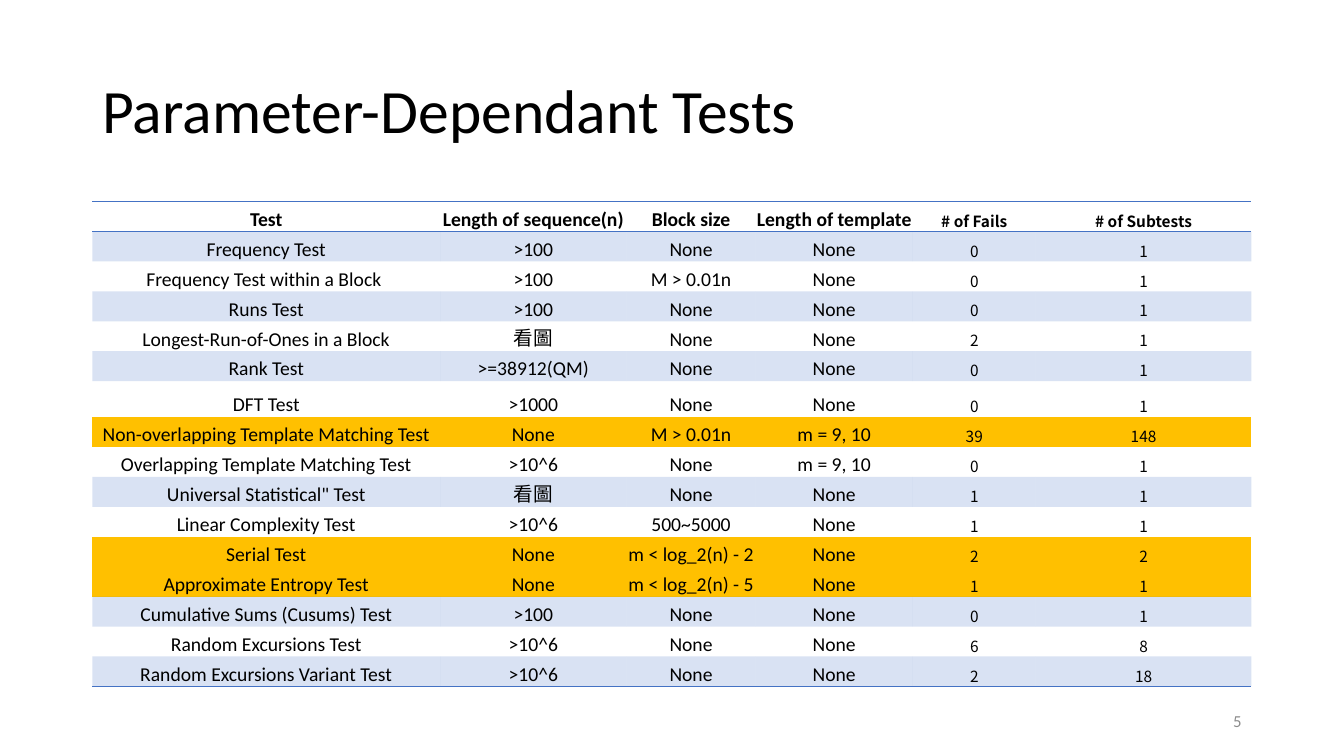
import lxml.etree
import pptx
import pptx.dml.color
import pptx.enum.text
import pptx.oxml.ns
import pptx.util

Pt = pptx.util.Pt
RGBColor = pptx.dml.color.RGBColor
Align = pptx.enum.text.PP_ALIGN
Anchor = pptx.enum.text.MSO_ANCHOR
qn = pptx.oxml.ns.qn

BLACK = RGBColor(0x00, 0x00, 0x00)
GREY = RGBColor(0x8C, 0x8C, 0x8C)
BLUE = RGBColor(0x44, 0x72, 0xC4)
AMBER = RGBColor(0xFF, 0xC0, 0x00)

LATIN_FONT = "Calibri"
CJK_FONT = "Noto Sans CJK TC"
PLAIN_STYLE = "{2D5ABB26-0587-4C30-8999-92F81FD0307C}"

COLUMN_WIDTHS = [248.4, 133.2, 92.2, 112.3, 87.8, 154.1]
ROW_HEIGHT = 21.4
TALL_ROW_HEIGHT = 25.7
TALL_TEST = "DFT Test"
FIRST_COUNT_COLUMN = 4
HIGHLIGHTED_TESTS = {
    "Non-overlapping Template Matching Test",
    "Serial Test",
    "Approximate Entropy Test",
}
TEST_ROWS = [
    ("Test", "Length of sequence(n)", "Block size", "Length of template", "# of Fails", "# of Subtests"),
    ("Frequency Test", ">100", "None", "None", "0", "1"),
    ("Frequency Test within a Block ", ">100", "M > 0.01n", "None", "0", "1"),
    ("Runs Test", ">100", "None", "None", "0", "1"),
    ("Longest-Run-of-Ones in a Block", "看圖", "None", "None", "2", "1"),
    ("Rank Test", ">=38912(QM)", "None", "None", "0", "1"),
    (TALL_TEST, ">1000", "None", "None", "0", "1"),
    ("Non-overlapping Template Matching Test", "None", "M > 0.01n", "m = 9, 10", "39", "148"),
    ("Overlapping Template Matching Test", ">10^6", "None", "m = 9, 10", "0", "1"),
    ("Universal Statistical\" Test", "看圖", "None", "None", "1", "1"),
    ("Linear Complexity Test", ">10^6", "500~5000", "None", "1", "1"),
    ("Serial Test", "None", "m < log_2(n) - 2", "None", "2", "2"),
    ("Approximate Entropy Test", "None", "m < log_2(n) - 5", "None", "1", "1"),
    ("Cumulative Sums (Cusums) Test", ">100", "None", "None", "0", "1"),
    ("Random Excursions Test", ">10^6", "None", "None", "6", "8"),
    ("Random Excursions Variant Test", ">10^6", "None", "None", "2", "18"),
]


def style_paragraph(para, size, color, align, font_name=LATIN_FONT, bold=False):
    """Set the font and alignment of a paragraph."""
    para.alignment = align
    para.font.name = font_name
    para.font.size = Pt(size)
    para.font.bold = bold
    para.font.color.rgb = color
    if font_name == CJK_FONT:
        properties = para.font._element
        lxml.etree.SubElement(properties, qn("a:ea"), typeface=font_name)


def add_text(page, text, left, top, width, height, size, color, align, line_spacing=1.0):
    """Add a one-paragraph text box, centred vertically."""
    box = page.shapes.add_textbox(Pt(left), Pt(top), Pt(width), Pt(height))
    frame = box.text_frame
    frame.word_wrap = True
    frame.vertical_anchor = Anchor.MIDDLE
    frame.text = text
    para = frame.paragraphs[0]
    para.line_spacing = line_spacing
    style_paragraph(para, size, color, align)


def add_border(cell, side):
    """Draw a one-point blue line along one side of a cell."""
    line = lxml.etree.Element(qn(f"a:{side}"), w=str(Pt(1)))
    fill = lxml.etree.SubElement(line, qn("a:solidFill"))
    lxml.etree.SubElement(fill, qn("a:srgbClr"), val=str(BLUE))
    cell._tc.get_or_add_tcPr().insert(0, line)


def fill_cell(cell, color, opacity=100):
    """Fill a cell with a colour at the given opacity in percent."""
    cell.fill.solid()
    cell.fill.fore_color.rgb = color
    if opacity < 100:
        srgb = cell._tc.tcPr.find(".//" + qn("a:srgbClr"))
        lxml.etree.SubElement(srgb, qn("a:alpha"), val=str(opacity * 1000))


def write_cell(cell, text, is_count, is_header):
    """Write centred text at the bottom of a cell."""
    cell.margin_left = cell.margin_right = cell.margin_top = Pt(0.72)
    cell.margin_bottom = 0
    cell.vertical_anchor = Anchor.BOTTOM
    cell.text = text
    font_name = CJK_FONT if is_count or text == "看圖" else LATIN_FONT
    size = 11 if is_count else 14
    para = cell.text_frame.paragraphs[0]
    style_paragraph(para, size, BLACK, Align.CENTER, font_name, is_header)


def shade_cell(cell, row_index, test_name):
    """Highlight the parameter-dependent tests and band the other rows."""
    if test_name in HIGHLIGHTED_TESTS:
        fill_cell(cell, AMBER)
    elif row_index % 2:
        fill_cell(cell, BLUE, opacity=20)
    else:
        cell.fill.background()


def add_test_table(page, left, top):
    """Add the table of tests with their parameters and results."""
    heights = [TALL_ROW_HEIGHT if row[0] == TALL_TEST else ROW_HEIGHT for row in TEST_ROWS]
    frame = page.shapes.add_table(
        len(TEST_ROWS), len(COLUMN_WIDTHS),
        Pt(left), Pt(top), Pt(sum(COLUMN_WIDTHS)), Pt(sum(heights)),
    )
    table = frame.table
    table.first_row = table.horz_banding = False
    table._tbl.tblPr.find(qn("a:tableStyleId")).text = PLAIN_STYLE
    for column, width in zip(table.columns, COLUMN_WIDTHS):
        column.width = Pt(width)
    for row_index, (values, height) in enumerate(zip(TEST_ROWS, heights)):
        table.rows[row_index].height = Pt(height)
        is_header = row_index == 0
        for column_index, text in enumerate(values):
            cell = table.cell(row_index, column_index)
            write_cell(cell, text, column_index >= FIRST_COUNT_COLUMN, is_header)
            shade_cell(cell, row_index, values[0])
            if is_header or row_index == len(TEST_ROWS) - 1:
                add_border(cell, "lnB")
            if is_header:
                add_border(cell, "lnT")


def main():
    """Build the slide and save the deck."""
    deck = pptx.Presentation()
    deck.slide_width = Pt(960)
    deck.slide_height = Pt(540)
    page = deck.slides.add_slide(deck.slide_layouts[6])
    add_text(page, "Parameter-Dependant Tests", 66, 28.8, 828, 104.4, 44, BLACK, Align.LEFT, 0.9)
    add_test_table(page, 66, 144)
    add_text(page, "5", 678, 500.4, 216, 28.8, 12, GREY, Align.RIGHT)
    deck.save("out.pptx")


main()
